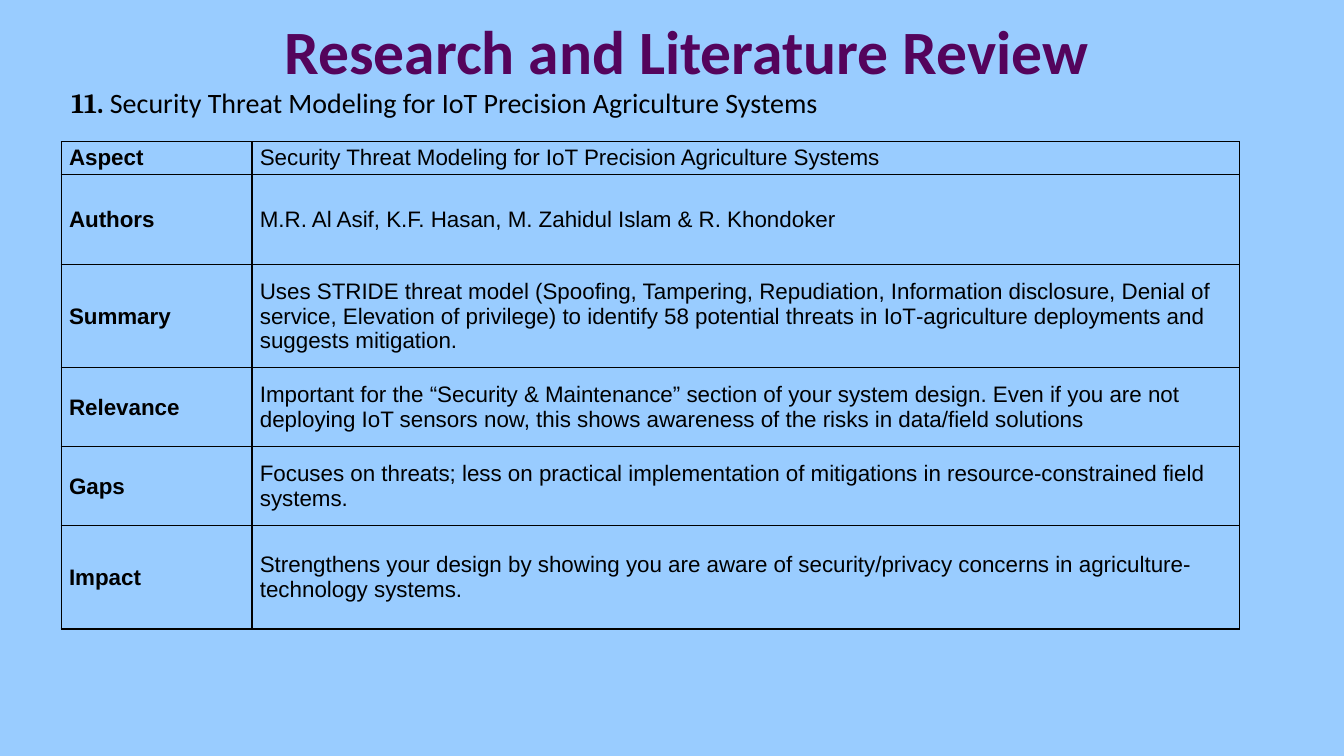
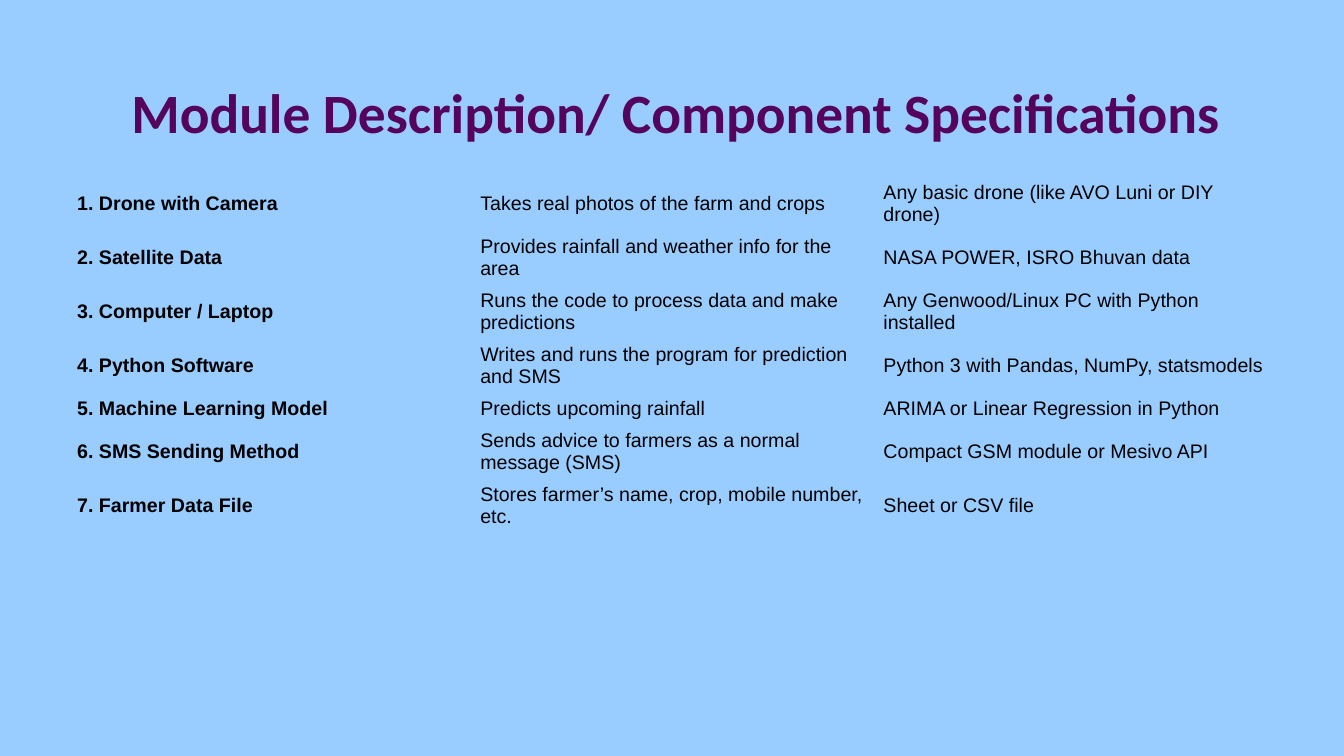
"""Build two slides: a literature review table and a component specification table."""
from lxml import etree
from pptx import Presentation
from pptx.dml.color import RGBColor
from pptx.enum import text
from pptx.oxml import ns
from pptx.util import Cm, Pt

SKY = RGBColor(0x99, 0xCC, 0xFF)
PLUM = RGBColor(0x54, 0x04, 0x5C)
BLACK = RGBColor(0, 0, 0)

FULL_WIDTH = 30.48
TITLE_FORMAT = {"name": "Calibri", "bold": True}

REVIEW_TOPIC = "Security Threat Modeling for IoT Precision Agriculture Systems"
REVIEW_ROWS = [
    ("Aspect", REVIEW_TOPIC),
    ("Authors", "M.R. Al Asif, K.F. Hasan, M. Zahidul Islam & R. Khondoker"),
    ("Summary", "Uses STRIDE threat model (Spoofing, Tampering, Repudiation, Information disclosure, "
                "Denial of service, Elevation of privilege) to identify 58 potential threats in "
                "IoT‐agriculture deployments and suggests mitigation."),
    ("Relevance", "Important for the “Security & Maintenance” section of your system design. Even if you "
                  "are not deploying IoT sensors now, this shows awareness of the risks in data/field "
                  "solutions"),
    ("Gaps", "Focuses on threats; less on practical implementation of mitigations in "
             "resource‐constrained field systems."),
    ("Impact", "Strengthens your design by showing you are aware of security/privacy concerns in "
               "agriculture‐technology systems."),
]
REVIEW_HEIGHTS = [0.83, 2.27, 2.6, 1.99, 1.99, 2.6]

COMPONENT_ROWS = [
    ("1. Drone with Camera", "Takes real photos of the farm and crops",
     "Any basic drone (like AVO Luni or DIY drone)"),
    ("2. Satellite Data", "Provides rainfall and weather info for the area",
     "NASA POWER, ISRO Bhuvan data"),
    ("3. Computer / Laptop", "Runs the code to process data and make predictions",
     "Any Genwood/Linux PC with Python installed"),
    ("4. Python Software", "Writes and runs the program for prediction and SMS",
     "Python 3 with Pandas, NumPy, statsmodels"),
    ("5. Machine Learning Model", "Predicts upcoming rainfall",
     "ARIMA or Linear Regression in Python"),
    ("6. SMS Sending Method", "Sends advice to farmers as a normal message (SMS)",
     "Compact GSM module or Mesivo API"),
    ("7. Farmer Data File", "Stores farmer’s name, crop, mobile number, etc.",
     "Sheet or CSV file"),
]
ONE_LINE, TWO_LINES = 0.81, 1.36
COMPONENT_HEIGHTS = [TWO_LINES] * 4 + [ONE_LINE] + [TWO_LINES] * 2


def apply_format(target, values):
    """Set each named attribute on the target."""
    for name, value in values.items():
        setattr(target, name, value)


def add_run(paragraph, content, color=BLACK, **font_format):
    """Add a formatted run to a paragraph."""
    run = paragraph.add_run()
    run.text = content
    apply_format(run.font, font_format)
    run.font.color.rgb = color


def add_text_box(slide, left, top, width, height, **frame_format):
    """Add a wrapping text box and return its first paragraph."""
    box = slide.shapes.add_textbox(Cm(left), Cm(top), Cm(width), Cm(height))
    apply_format(box.text_frame, {"word_wrap": True, **frame_format})
    return box.text_frame.paragraphs[0]


def add_title(slide, content, left, top, height, size):
    """Add a centred slide title."""
    paragraph = add_text_box(slide, left, top, FULL_WIDTH, height,
                             vertical_anchor=text.MSO_ANCHOR.MIDDLE)
    paragraph.alignment = text.PP_ALIGN.CENTER
    add_run(paragraph, content, PLUM, size=Pt(size), **TITLE_FORMAT)


def set_borders(cell, color):
    """Draw all four cell borders in the color, or hide them when it is None."""
    properties = cell._tc.get_or_add_tcPr()
    for side in ("a:lnL", "a:lnR", "a:lnT", "a:lnB"):
        line = etree.SubElement(properties, ns.qn(side), w=str(Pt(1) if color else 0))
        if color is None:
            etree.SubElement(line, ns.qn("a:noFill"))
        else:
            fill = etree.SubElement(line, ns.qn("a:solidFill"))
            etree.SubElement(fill, ns.qn("a:srgbClr"), val=str(color))


def add_table(slide, rows, left, top, widths, heights, size, border=None, **cell_format):
    """Add an unfilled table whose first column is bold."""
    frame = slide.shapes.add_table(len(rows), len(widths), Cm(left), Cm(top),
                                   Cm(sum(widths)), Cm(sum(heights)))
    table = frame.table
    apply_format(table, {"first_row": False, "horz_banding": False})
    for column, width in zip(table.columns, widths):
        column.width = Cm(width)
    for row, height, contents in zip(table.rows, heights, rows):
        row.height = Cm(height)
        for index, (cell, content) in enumerate(zip(row.cells, contents)):
            apply_format(cell, {"vertical_anchor": text.MSO_ANCHOR.MIDDLE,
                                "margin_top": Cm(0.05), "margin_bottom": Cm(0.05),
                                **cell_format})
            set_borders(cell, border)
            cell.fill.background()
            add_run(cell.text_frame.paragraphs[0], content,
                    name="Arial", size=Pt(size), bold=index == 0)


def add_review_slide(slide):
    """Fill the literature review slide."""
    add_title(slide, "Research and Literature Review", 2.07, 0, 2.51, 44)
    paragraph = add_text_box(slide, 1.55, 2.03, FULL_WIDTH, 1.2)
    add_run(paragraph, "11.", name="Cambria", size=Pt(20), bold=True)
    add_run(paragraph, " " + REVIEW_TOPIC, name="Calibri", size=Pt(20), bold=False)
    add_table(slide, REVIEW_ROWS, 1.54, 3.57, [4.81, 24.89], REVIEW_HEIGHTS, 16, BLACK,
              margin_left=Cm(0.2), margin_right=Cm(0.2))


def add_component_slide(slide):
    """Fill the component specification slide."""
    add_title(slide, "Module Description/ Component Specifications", 1.79, 1.22, 3.17, 39.6)
    add_table(slide, COMPONENT_ROWS, 1.69, 4.45, [FULL_WIDTH / 3] * 3, COMPONENT_HEIGHTS, 14)


def main():
    """Build and save the presentation."""
    presentation = Presentation()
    apply_format(presentation, {"slide_width": Cm(33.87), "slide_height": Cm(19.05)})
    background = presentation.slide_master.background.fill
    background.solid()
    background.fore_color.rgb = SKY
    for fill_slide in (add_review_slide, add_component_slide):
        fill_slide(presentation.slides.add_slide(presentation.slide_layouts[6]))
    presentation.save("out.pptx")


if __name__ == "__main__":
    main()
